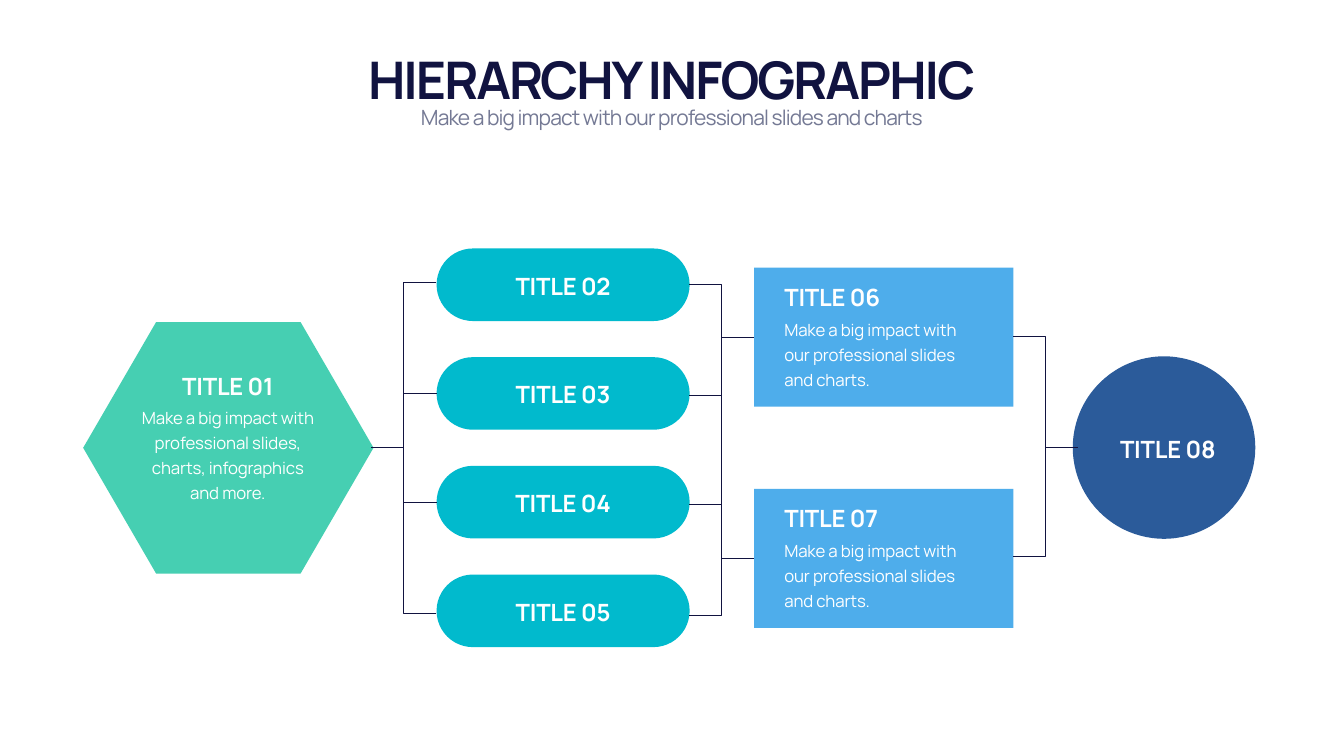
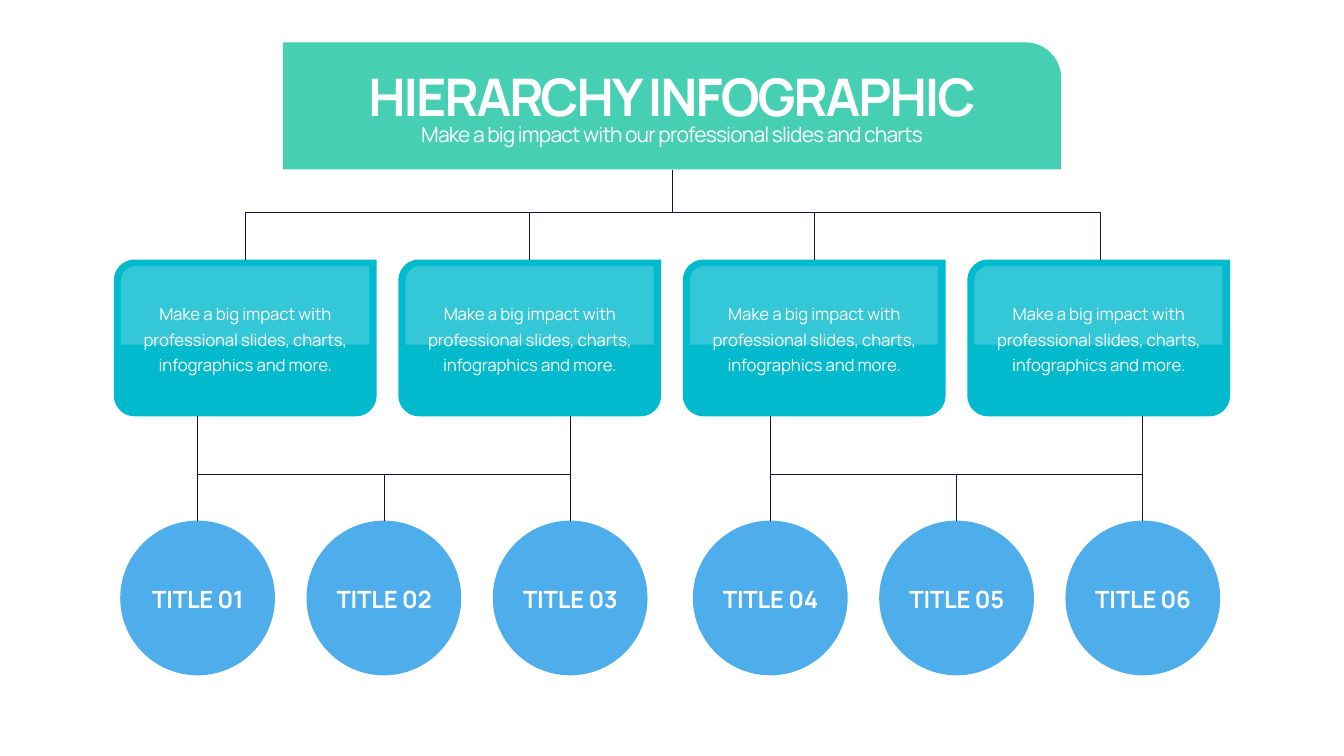
from math import cos, radians, sin

from lxml.etree import SubElement
from pptx import Presentation
from pptx.dml.color import RGBColor
from pptx.enum.shapes import MSO_CONNECTOR, MSO_SHAPE
from pptx.enum.text import MSO_ANCHOR, MSO_AUTO_SIZE, PP_ALIGN
from pptx.oxml.ns import qn
from pptx.util import Inches, Pt

COLORS = {"navy": "111340", "gray": "747994", "white": "FFFFFF", "green": "46CFB2",
          "teal": "01BACD", "sky": "4EADEB", "blue": "2B5B9A"}

STYLES = {
    "title": {"font": {"size": Pt(74), "bold": True}, "spc": -290},
    "subtitle": {"font": {"size": Pt(30), "bold": False}, "spc": -120},
    "label": {"font": {"size": Pt(34), "bold": True}, "spc": -30},
    "body": {"font": {"size": Pt(24), "bold": False}, "spc": -20, "leading": Pt(36)},
}

TITLE = "HIERARCHY INFOGRAPHIC"
SUBTITLE = "Make a big impact with our professional slides and charts"

ROOT = ("TITLE 01", "Make a big impact with professional slides, charts, infographics and more.")
PILLS = ["TITLE 02", "TITLE 03", "TITLE 04", "TITLE 05"]
PANEL_TEXT = "Make a big impact with our professional slides and charts."
PANELS = [("TITLE 06", PANEL_TEXT), ("TITLE 07", PANEL_TEXT)]
GOAL = "TITLE 08"

CARDS = [ROOT[1]] * 4
CIRCLE_GROUPS = [["TITLE 01", "TITLE 02", "TITLE 03"], ["TITLE 04", "TITLE 05", "TITLE 06"]]

TOP, MIDDLE, BOTTOM = MSO_ANCHOR.TOP, MSO_ANCHOR.MIDDLE, MSO_ANCHOR.BOTTOM


def rgb(name):
    return RGBColor.from_string(COLORS[name])


def paint(sp, color):
    sp.shadow.inherit = False
    sp.fill.solid()
    sp.fill.fore_color.rgb = rgb(color)
    sp.line.fill.background()
    return sp


def add_preset(s, kind, box, color, adj=None):
    sp = paint(s.shapes.add_shape(kind, *map(Inches, box)), color)
    if adj is not None:
        sp.adjustments[0] = adj
    return sp


def add_outline(s, points, close):
    pts = [(Inches(x), Inches(y)) for x, y in points]
    fb = s.shapes.build_freeform(*pts[0], scale=1.0)
    fb.add_line_segments(pts[1:], close=close)
    return fb.convert_to_shape()


def add_rounded(s, box, radii, color):
    """Rectangle with its own radius per corner: top left, top right, bottom right, bottom left."""
    x, y, w, h = box
    corners = [(x, y, 1, 1), (x + w, y, -1, 1), (x + w, y + h, -1, -1), (x, y + h, 1, -1)]
    points = []
    for i, ((cx, cy, dx, dy), r) in enumerate(zip(corners, radii)):
        angles = range(180 + 90 * i, 271 + 90 * i, 6) if r else [0]
        points += [(cx + r * (dx + cos(radians(a))), cy + r * (dy + sin(radians(a))))
                   if r else (cx, cy) for a in angles]
    return paint(add_outline(s, points, True), color)


def add_bracket(s, points):
    sp = add_outline(s, points, False)
    sp.shadow.inherit = False
    sp.fill.background()
    sp.line.color.rgb = rgb("navy")
    sp.line.width = Pt(1)


def add_line(s, start, end, join=None):
    """Straight line; join is (shape, site) for its end."""
    cn = s.shapes.add_connector(MSO_CONNECTOR.STRAIGHT, *map(Inches, start + end))
    cn.line.color.rgb = rgb("navy")
    cn.line.width = Pt(1)
    SubElement(cn.element.spPr, qn("a:effectLst"))
    if join:
        cn.end_connect(*join)


def add_text(s, box, text, style, color="white", anchor=TOP, align=PP_ALIGN.CENTER):
    look = STYLES[style]
    tf = s.shapes.add_textbox(*map(Inches, box)).text_frame
    frame = {"word_wrap": True, "auto_size": MSO_AUTO_SIZE.SHAPE_TO_FIT_TEXT,
             "vertical_anchor": anchor, "margin_top": 0, "margin_bottom": 0}
    for name, value in frame.items():
        setattr(tf, name, value)
    p = tf.paragraphs[0]
    p.alignment = align
    if "leading" in look:
        p.line_spacing = look["leading"]
    r = p.add_run()
    r.text = text
    for name, value in {"name": "Manrope", **look["font"]}.items():
        setattr(r.font, name, value)
    r.font.color.rgb = rgb(color)
    r.font._element.set("spc", str(look["spc"]))


def add_heading(s, x, y, w, title_color, subtitle_color):
    add_text(s, (x, y, w, 1.35), TITLE, "title", title_color, BOTTOM)
    add_text(s, (x, y + 1.25, w, 0.61), SUBTITLE, "subtitle", subtitle_color)


def build_flow(s):
    axis = 8.88
    add_preset(s, MSO_SHAPE.HEXAGON, (1.65, 6.39, 5.76, 4.99), "green", 0.29)
    add_preset(s, MSO_SHAPE.OVAL, (21.28, 7.07, 3.62, 3.62), "blue").width = Inches(3.62)

    pill_x, pill_y, pill_w, pill_h = 8.66, 4.93, 5.02, 1.44
    pill_step = (11.4 - pill_y) / (len(PILLS) - 1)
    pill_tops = [pill_y + i * pill_step for i in range(len(PILLS))]
    pills = [add_preset(s, MSO_SHAPE.ROUNDED_RECTANGLE, (pill_x, y, pill_w, pill_h), "teal", 0.5)
             for y in pill_tops]
    panel_x, panel_w, panel_h = 14.96, 5.14, 2.76
    panel_tops = [5.31, 9.7]
    panels = [add_preset(s, MSO_SHAPE.RECTANGLE, (panel_x, y, panel_w, panel_h), "sky")
              for y in panel_tops]

    # Each bracket: open side, spine, top, bottom
    for side, spine, top, bottom in [(8.65, 8.01, 5.6, 12.17), (13.67, 14.31, 5.65, 12.21),
                                     (20.09, 20.74, 6.68, 11.04)]:
        add_bracket(s, [(side, bottom), (spine, bottom), (spine, top), (side, top)])
    add_line(s, (7.36, axis), (8.02, axis))
    add_line(s, (20.74, axis), (21.38, axis))
    for pill, top in list(zip(pills, pill_tops))[1:-1]:
        y = top + pill_h / 2
        add_line(s, (8.01, y), (pill_x, y), (pill, 1))
        add_line(s, (13.67, y + 0.04), (14.32, y + 0.04))
    for panel, top in zip(panels, panel_tops):
        y = top + panel_h / 2
        add_line(s, (14.32, y), (panel_x, y), (panel, 1))

    add_heading(s, 1.66, 0.82, 23.33, "navy", "gray")
    add_text(s, (2.62, 7.27, 3.8, 0.67), ROOT[0], "label", anchor=BOTTOM)
    add_text(s, (2.62, 7.98, 3.8, 2.6), ROOT[1], "body")
    for label, top in zip(PILLS, pill_tops):
        add_text(s, (8.92, top + 0.4, 4.5, 0.67), label, "label", anchor=MIDDLE)
    for (label, body), top in zip(PANELS, panel_tops):
        add_text(s, (15.46, top + 0.2, 4.17, 0.67), label, "label", anchor=BOTTOM,
                 align=PP_ALIGN.LEFT)
        add_text(s, (15.46, top + 0.93, 4.17, 1.59), body, "body", align=PP_ALIGN.LEFT)
    add_text(s, (21.42, 8.58, 3.49, 0.67), GOAL, "label", anchor=MIDDLE)


def build_tree(s):
    add_preset(s, MSO_SHAPE.ROUND_1_RECTANGLE, (5.61, 0.84, 15.44, 2.52), "green", 0.28)

    card_y, card_w, card_h = 5.15, 5.21, 3.11
    card_lefts = [2.26 + i * 5.643 for i in range(len(CARDS))]
    for x in card_lefts:
        add_rounded(s, (x, card_y, card_w, card_h), (0.41, 0, 0.41, 0.41), "teal")
        gloss = add_rounded(s, (x + 0.14, 5.28, 4.92, 1.56), (0.29, 0, 0, 0), "white")
        color = gloss.element.spPr.find(".//" + qn("a:srgbClr"))
        SubElement(color, qn("a:alpha")).set("val", "20000")

    size, circle_y, bar_y = 3.07, 10.33, 9.42
    for first, labels in zip([3.92, 15.28], CIRCLE_GROUPS):
        centers = [first + i * 3.695 for i in range(len(labels))]
        for cx, label in zip(centers, labels):
            add_preset(s, MSO_SHAPE.OVAL, (cx - size / 2, circle_y, size, size), "sky")
            stem_top = bar_y if cx == centers[1] else card_y + card_h
            add_line(s, (cx, circle_y), (cx, stem_top))
            add_text(s, (cx - 1.43, 11.55, 2.87, 0.67), label, "label", anchor=MIDDLE)
        add_line(s, (centers[0], bar_y), (centers[-1], bar_y))

    trunk_x, trunk_y, branch_y = 13.33, 3.37, 4.22
    for x in (4.87, 21.83):
        add_bracket(s, [(x, card_y), (x, branch_y), (trunk_x, branch_y), (trunk_x, trunk_y)])
    for left in card_lefts[1:-1]:
        x = left + card_w / 2
        add_line(s, (x, card_y), (x, branch_y))

    add_heading(s, 5.95, 1.17, 14.76, "white", "white")
    for x, body in zip(card_lefts, CARDS):
        add_text(s, (x + 0.36, 5.89, 4.49, 1.59), body, "body", anchor=MIDDLE)


def main():
    prs = Presentation()
    prs.slide_width, prs.slide_height = Inches(26.66), Inches(15)
    for build in (build_flow, build_tree):
        s = prs.slides.add_slide(prs.slide_layouts[6])
        s.background.fill.solid()
        s.background.fill.fore_color.rgb = rgb("white")
        build(s)
    prs.save("out.pptx")


if __name__ == "__main__":
    main()
